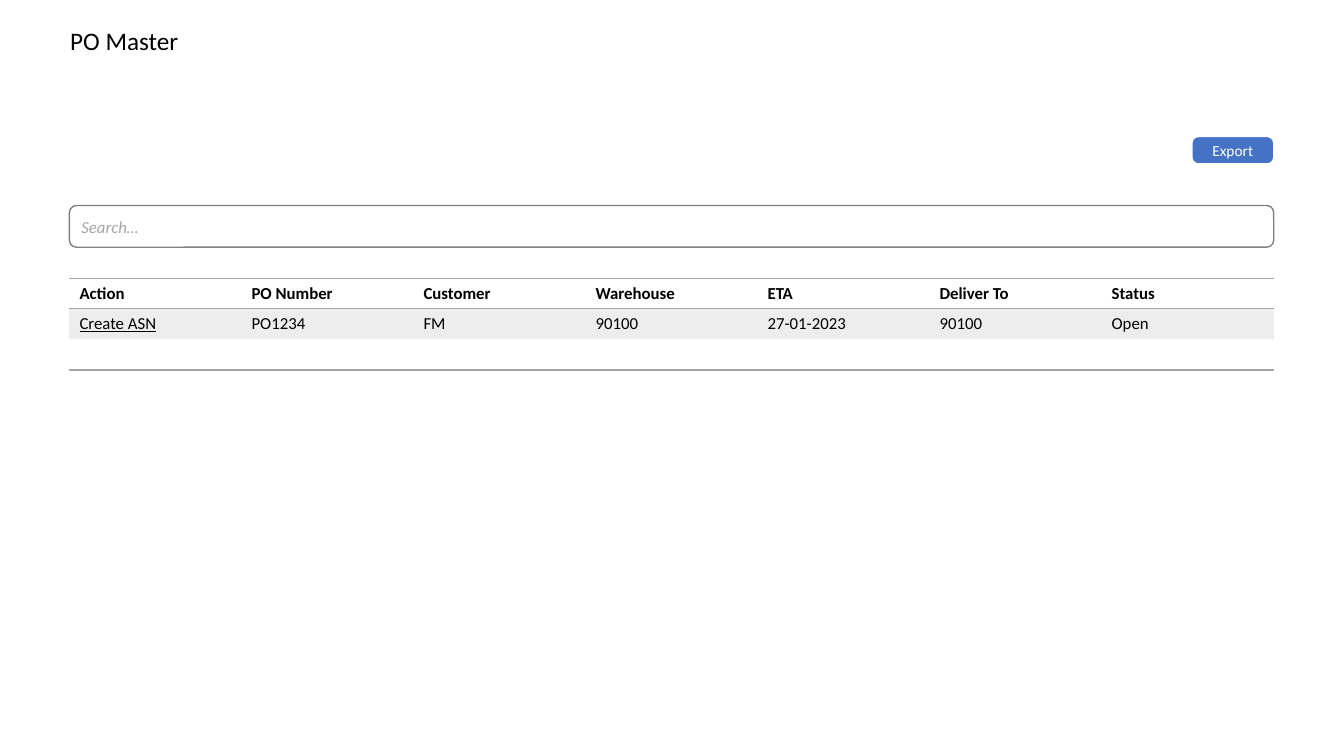
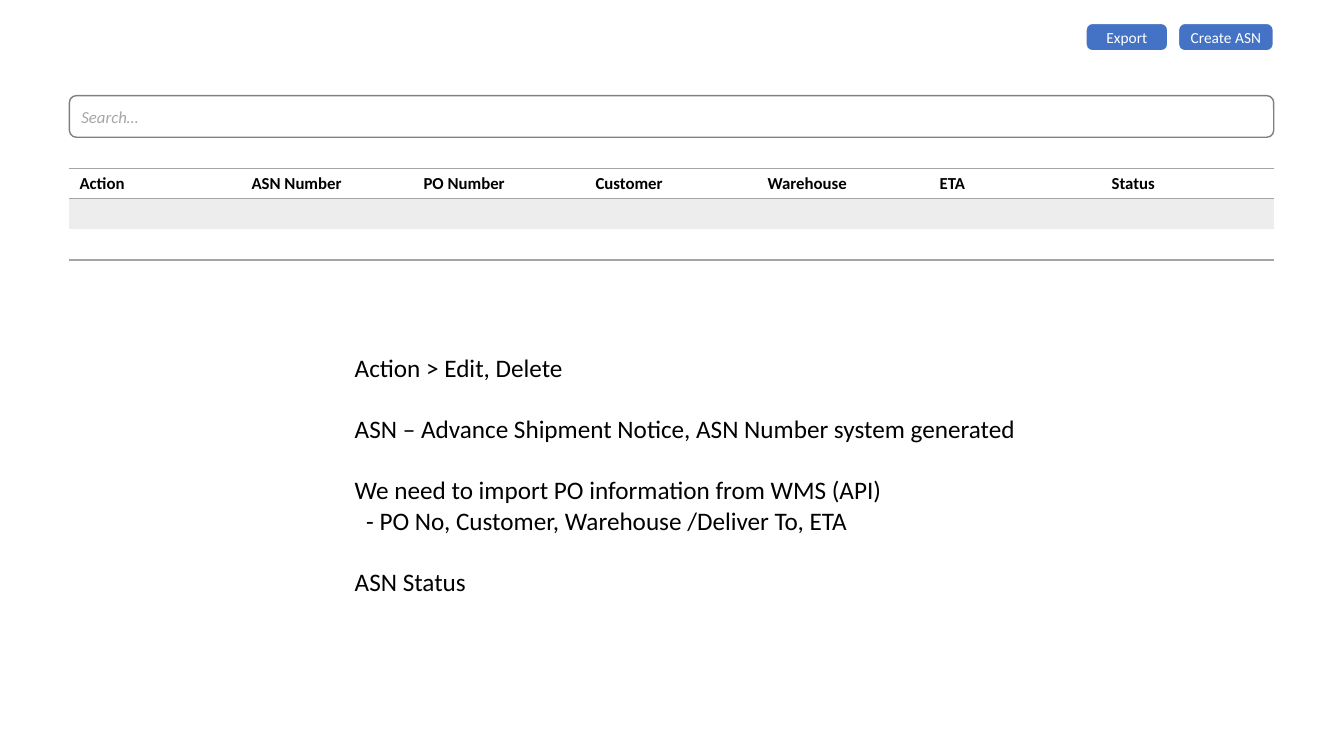
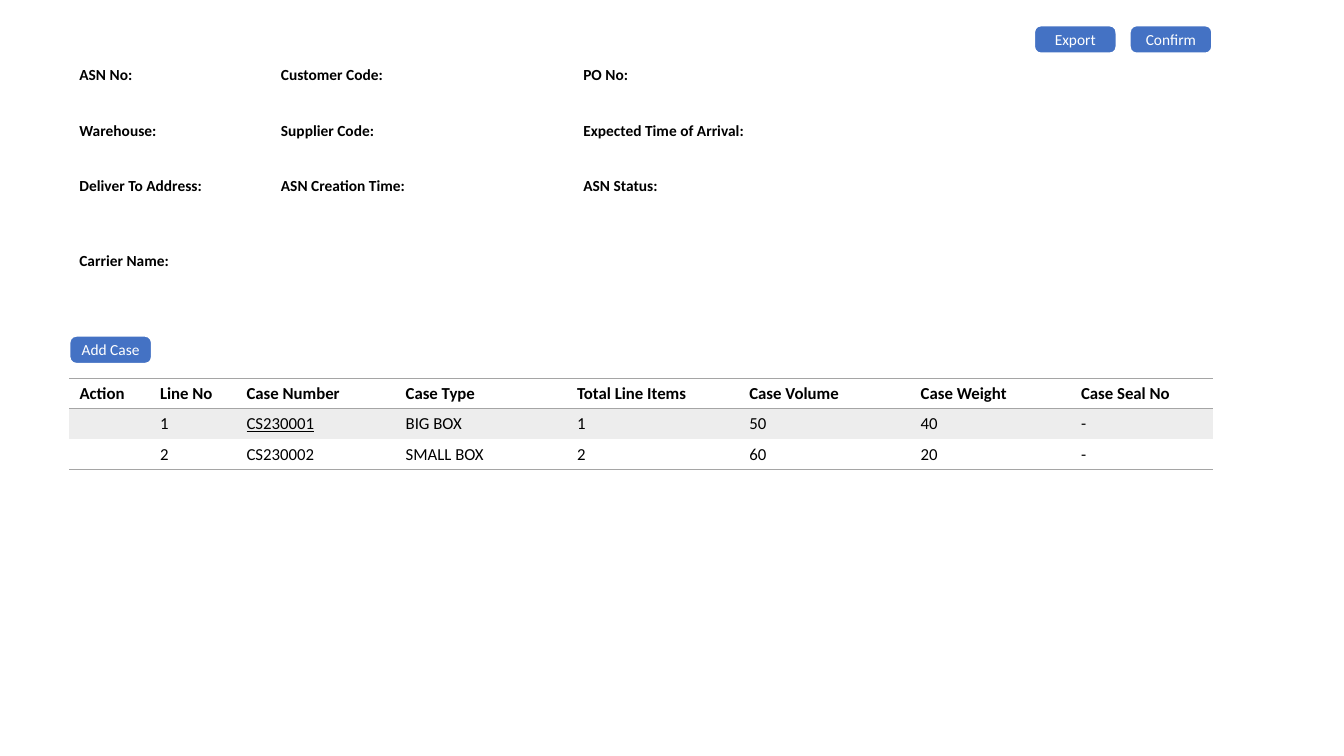
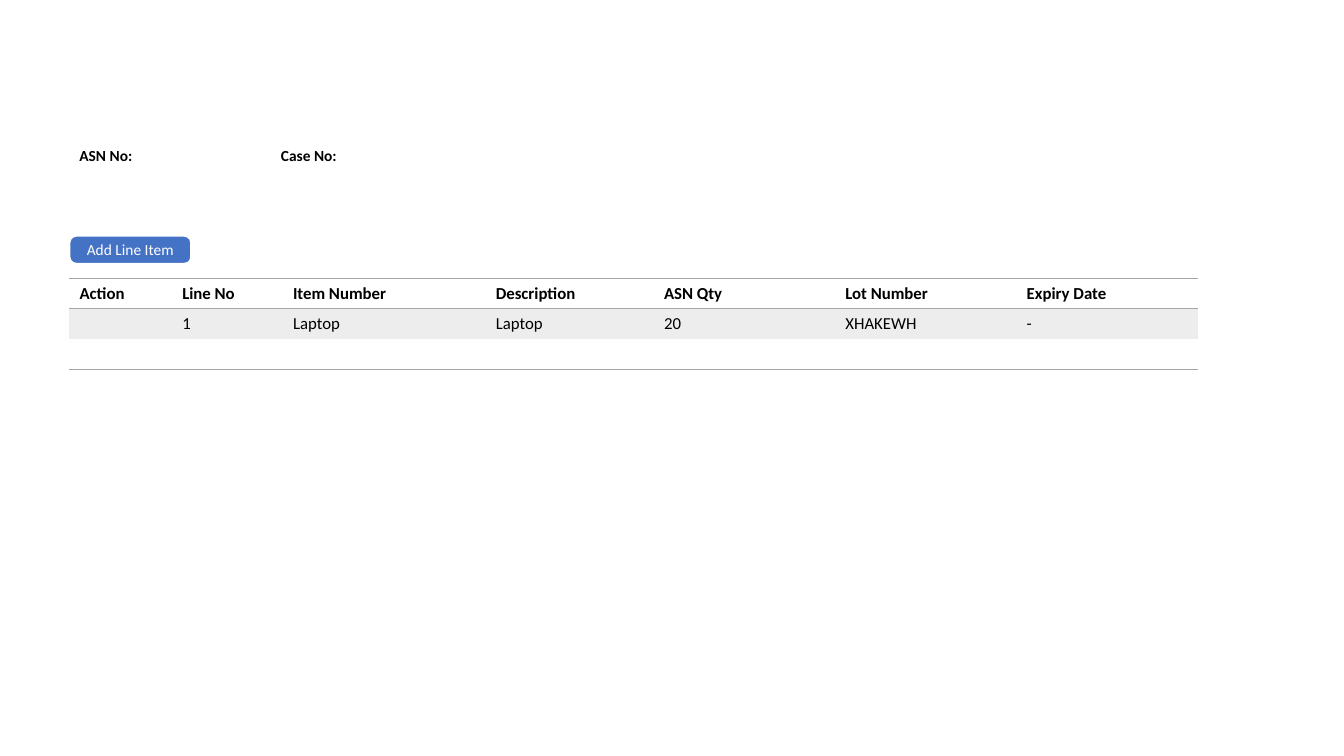
from lxml import etree
from pptx import Presentation
from pptx.dml.color import RGBColor
from pptx.enum.shapes import MSO_SHAPE
from pptx.enum.text import MSO_ANCHOR, PP_ALIGN
from pptx.oxml.ns import qn
from pptx.util import Cm, Pt

ROUNDED = MSO_SHAPE.ROUNDED_RECTANGLE
MIDDLE = MSO_ANCHOR.MIDDLE
LEFT, CENTER = PP_ALIGN.LEFT, PP_ALIGN.CENTER

FONT = "Calibri"
BLACK, WHITE, BLUE = "000000", "FFFFFF", "4472C4"
RULE, BAND, OUTLINE, HINT = "A5A5A5", "EDEDED", "808080", "A6A6A6"
PLAIN_TABLE = "{2D5ABB26-0587-4C30-8999-92F81FD0307C}"

MARGIN = 1.75
FULL_WIDTH = 30.35
ROW_HEIGHT = 0.77
BUTTON_WIDTH, BUTTON_HEIGHT = 2.08, 0.71
FIELD_STOPS = (5.08, 12.7)
LINKS = ("Create ASN", "CS230001")


def paint(color_format, color):
    color_format.rgb = RGBColor.from_string(color)


def add_run(paragraph, text, size, color=BLACK, bold=False, italic=False, underline=False):
    run = paragraph.add_run()
    run.text = text
    run.font.name = FONT
    run.font.size = Pt(size)
    run.font.bold = bold
    run.font.italic = italic
    run.font.underline = underline
    paint(run.font.color, color)


screens = [
    {
        "table_top": 7.01,
        "columns": [FULL_WIDTH / 7] * 7,
        "rows": [
            ["Action", "PO Number", "Customer", "Warehouse", "ETA", "Deliver To", "Status"],
            ["Create ASN", "PO1234", "FM", "90100", "27-01-2023", "90100", "Open"],
            [""] * 7,
        ],
        "search_top": 5.18,
        "buttons": [("Export", 30.03, 3.43, BUTTON_WIDTH)],
        "text_box": (1.52, 0.51, 3.25, 1.02),
        "text_size": 18,
        "lines": [("PO Master", 0, 0)],
    },
    {
        "table_top": 4.24,
        "columns": [FULL_WIDTH / 7] * 7,
        "rows": [
            ["Action", "ASN Number", "PO Number", "Customer", "Warehouse", "ETA", "Status"],
            [""] * 7,
            [""] * 7,
        ],
        "search_top": 2.41,
        "buttons": [("Create ASN", 29.69, 0.58, 2.41), ("Export", 27.36, 0.58, BUTTON_WIDTH)],
        "text_box": (8.69, 8.76, 17.35, 6.4),
        "text_size": 18,
        "lines": [
            ("Action > Edit, Delete", 0, 0),
            ("ASN – Advance Shipment Notice, ASN Number system generated", 22, 0),
            ("We need to import PO information from WMS (API)", 22, 0),
            ("- PO No, Customer, Warehouse /Deliver To, ETA", 0, 0.29),
            ("ASN Status", 22, 0),
        ],
    },
    {
        "table_top": 9.53,
        "columns": [2.03, 2.18, 4.01, 4.32, 4.34, 4.32, 4.04, 3.58],
        "rows": [
            ["Action", "Line No", "Case Number", "Case Type", "Total Line Items",
             "Case Volume", "Case Weight", "Case Seal No"],
            ["", "1", "CS230001", "BIG BOX", "1", "50", "40", "-"],
            ["", "2", "CS230002", "SMALL BOX", "2", "60", "20", "-"],
        ],
        "buttons": [
            ("Add Case", MARGIN, 8.46, BUTTON_WIDTH),
            ("Confirm", 28.47, 0.64, BUTTON_WIDTH),
            ("Export", 26.06, 0.64, BUTTON_WIDTH),
        ],
        "text_box": (MARGIN, 1.52, 28.8, 5.89),
        "text_size": 11,
        "lines": [
            ("ASN No:\tCustomer Code:\tPO No:", 0, 0),
            ("Warehouse:\tSupplier Code:\tExpected Time of Arrival:", 26.5, 0),
            ("Deliver To Address:\tASN Creation Time:\tASN Status:", 26.5, 0),
            ("Carrier Name:", 40, 0),
        ],
    },
    {
        "table_top": 7.01,
        "columns": [2.59, 2.79, 5.11, 4.24, 4.57, 4.57, 4.57],
        "rows": [
            ["Action", "Line No", "Item Number", "Description", "ASN Qty", "Lot Number", "Expiry Date"],
            ["", "1", "Laptop", "Laptop", "20", "XHAKEWH", "-"],
            [""] * 7,
        ],
        "buttons": [("Add Line Item", MARGIN, 5.94, 3.07)],
        "text_box": (MARGIN, 3.56, 28.8, 0.74),
        "text_size": 11,
        "lines": [("ASN No:\tCase No:", 0, 0)],
    },
]

prs = Presentation()
prs.slide_width = Cm(33.87)
prs.slide_height = Cm(19.05)

for screen in screens:
    slide = prs.slides.add_slide(prs.slide_layouts[6])
    columns, rows = screen["columns"], screen["rows"]

    grid = slide.shapes.add_table(
        len(rows), len(columns), Cm(MARGIN), Cm(screen["table_top"]),
        Cm(sum(columns)), Cm(ROW_HEIGHT * len(rows))).table
    grid.first_row = False
    grid.horz_banding = False
    grid._tbl.tblPr.find(qn("a:tableStyleId")).text = PLAIN_TABLE
    for column, width in zip(grid.columns, columns):
        column.width = Cm(width)
    for r, (row, values) in enumerate(zip(grid.rows, rows)):
        row.height = Cm(ROW_HEIGHT)
        for cell, value in zip(row.cells, values):
            paragraph = cell.text_frame.paragraphs[0]
            if value:
                add_run(paragraph, value, 12, bold=r == 0, underline=r > 0 and value in LINKS)
            else:
                etree.SubElement(paragraph._p, qn("a:endParaRPr"), sz="1200")
            for edge in (("lnT", "lnB"), (), ("lnB",))[r]:
                border = etree.SubElement(cell._tc.get_or_add_tcPr(), qn("a:" + edge), w="12700")
                solid = etree.SubElement(border, qn("a:solidFill"))
                etree.SubElement(solid, qn("a:srgbClr"), val=RULE)
            if r == 1:
                cell.fill.solid()
                paint(cell.fill.fore_color, BAND)
            else:
                cell.fill.background()

    if "search_top" in screen:
        search = slide.shapes.add_shape(
            ROUNDED, Cm(MARGIN), Cm(screen["search_top"]), Cm(FULL_WIDTH), Cm(1.05))
        search.shadow.inherit = False
        search.fill.background()
        paint(search.line.color, OUTLINE)
        search.line.width = Pt(1)
        search.text_frame.vertical_anchor = MIDDLE
        hint = search.text_frame.paragraphs[0]
        hint.alignment = LEFT
        add_run(hint, "Search…", 12, HINT, italic=True)

    for label, left, top, width in screen["buttons"]:
        button = slide.shapes.add_shape(ROUNDED, Cm(left), Cm(top), Cm(width), Cm(BUTTON_HEIGHT))
        button.adjustments[0] = 0.24
        button.shadow.inherit = False
        button.fill.solid()
        paint(button.fill.fore_color, BLUE)
        paint(button.line.color, WHITE)
        button.line.width = Pt(1.5)
        button.text_frame.vertical_anchor = MIDDLE
        caption = button.text_frame.paragraphs[0]
        caption.alignment = CENTER
        add_run(caption, label, 11, WHITE)

    details = slide.shapes.add_textbox(*map(Cm, screen["text_box"])).text_frame
    details.word_wrap = True
    for i, (text, gap, indent) in enumerate(screen["lines"]):
        line = details.add_paragraph() if i else details.paragraphs[0]
        line.space_before = Pt(gap)
        properties = line._p.get_or_add_pPr()
        if indent:
            properties.set("marL", str(Cm(indent)))
        if "\t" in text:
            stops = etree.SubElement(properties, qn("a:tabLst"))
            for stop in FIELD_STOPS:
                etree.SubElement(stops, qn("a:tab"), pos=str(Cm(stop)), algn="l")
        add_run(line, text, screen["text_size"], bold=screen["text_size"] == 11)

prs.save("out.pptx")
